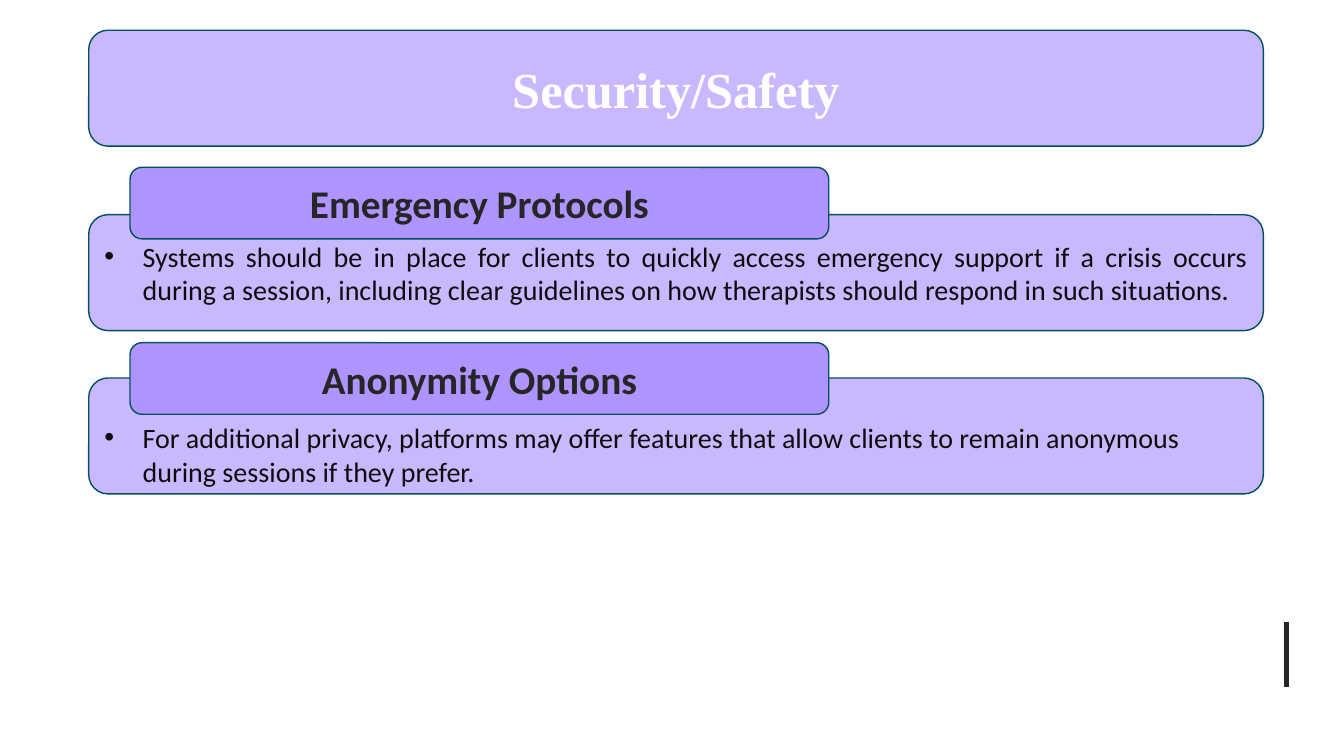
from lxml import etree
from pptx import Presentation
from pptx.dml.color import RGBColor
from pptx.enum import shapes, text
from pptx.oxml import ns
from pptx.util import Inches, Pt

WHITE = RGBColor(0xFF, 0xFF, 0xFF)
LILAC = RGBColor(0xC9, 0xB8, 0xFF)
VIOLET = RGBColor(0xAF, 0x94, 0xFF)
TEAL = RGBColor(0x00, 0x52, 0x58)
CHARCOAL = RGBColor(0x26, 0x26, 0x26)
INK = RGBColor(0x0D, 0x0D, 0x0D)

LEFT, WIDTH, PANEL_HEIGHT = 0.88, 11.65, 1.15
TAB_INDENT, TAB_WIDTH, TAB_HEIGHT = 0.41, 6.93, 0.71
BULLET_INDENT = 0.38

# heading, heading top, panel top, body, body alignment, top and bottom insets
SECTIONS = [
    ("Emergency Protocols", 1.66, 2.13,
     "Systems should be in place for clients to quickly access emergency support "
     "if a crisis occurs during a session, including clear guidelines on how "
     "therapists should respond in such situations.",
     text.PP_ALIGN.JUSTIFY, 0.05, 0.05),
    ("Anonymity Options", 3.4, 3.75,
     "For additional privacy, platforms may offer features that allow clients to "
     "remain anonymous during sessions if they prefer.",
     text.PP_ALIGN.LEFT, 0.36, 0),
]


def add_panel(slide, left, top, width, height, fill):
    """Add an outlined rounded panel with vertically centred text."""
    panel = slide.shapes.add_shape(
        shapes.MSO_SHAPE.ROUNDED_RECTANGLE,
        Inches(left), Inches(top), Inches(width), Inches(height))
    panel.shadow.inherit = False
    panel.fill.solid()
    panel.fill.fore_color.rgb = fill
    panel.line.color.rgb = TEAL
    panel.line.width = Pt(1)
    panel.text_frame.word_wrap = True
    panel.text_frame.vertical_anchor = text.MSO_ANCHOR.MIDDLE
    return panel


def write(paragraph, words, size, color, alignment, font="Calibri", bold=False):
    paragraph.alignment = alignment
    run = paragraph.add_run()
    run.text = words
    run.font.name = font
    run.font.size = Pt(size)
    run.font.bold = bold
    run.font.color.rgb = color


def add_bullet(paragraph):
    properties = paragraph._p.get_or_add_pPr()
    properties.set("marL", str(Inches(BULLET_INDENT)))
    properties.set("indent", str(-Inches(BULLET_INDENT)))
    etree.SubElement(properties, ns.qn("a:buFont"), typeface="Arial")
    etree.SubElement(properties, ns.qn("a:buChar"), char="•")


def add_title(slide, left, top, width, height):
    panel = add_panel(slide, left, top, width, height, LILAC)
    write(panel.text_frame.paragraphs[0], "Security/Safety", 36, WHITE,
          text.PP_ALIGN.CENTER, "Times New Roman", True)


def add_section(slide, left, width, section):
    """Add a bulleted panel with its heading tab overlapping the top edge."""
    heading, tab_top, panel_top, body, alignment, inset_top, inset_bottom = section
    panel = add_panel(slide, left, panel_top, width, PANEL_HEIGHT, LILAC)
    panel.text_frame.margin_top = Inches(inset_top)
    panel.text_frame.margin_bottom = Inches(inset_bottom)
    paragraph = panel.text_frame.paragraphs[0]
    add_bullet(paragraph)
    write(paragraph, body, 20, INK, alignment)

    tab = add_panel(slide, left + TAB_INDENT, tab_top, TAB_WIDTH, TAB_HEIGHT, VIOLET)
    write(tab.text_frame.paragraphs[0], heading, 28, CHARCOAL,
          text.PP_ALIGN.CENTER, bold=True)


def add_corner_rule(slide, left, top, height):
    rule = slide.shapes.add_connector(
        shapes.MSO_CONNECTOR.STRAIGHT,
        Inches(left), Inches(top), Inches(left), Inches(top + height))
    rule.line.color.rgb = CHARCOAL
    rule.line.width = Pt(3)
    etree.SubElement(rule._element.spPr, ns.qn("a:effectLst"))


def main():
    presentation = Presentation()
    presentation.slide_width = Inches(13.33)
    presentation.slide_height = Inches(7.5)
    slide = presentation.slides.add_slide(presentation.slide_layouts[6])
    slide.background.fill.solid()
    slide.background.fill.fore_color.rgb = WHITE

    add_corner_rule(slide, 12.76, 6.17, 0.65)
    add_title(slide, LEFT, 0.3, WIDTH, PANEL_HEIGHT)
    for section in SECTIONS:
        add_section(slide, LEFT, WIDTH, section)
    presentation.save("out.pptx")


if __name__ == "__main__":
    main()
